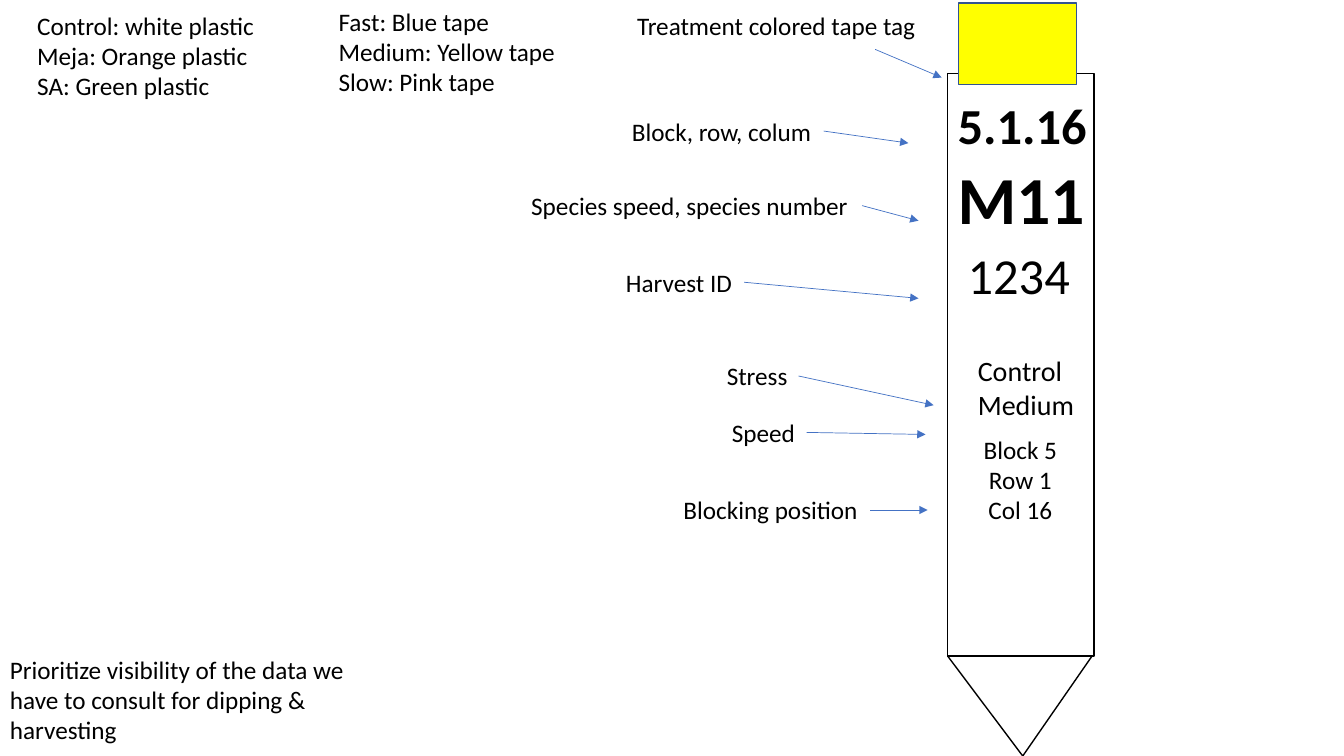
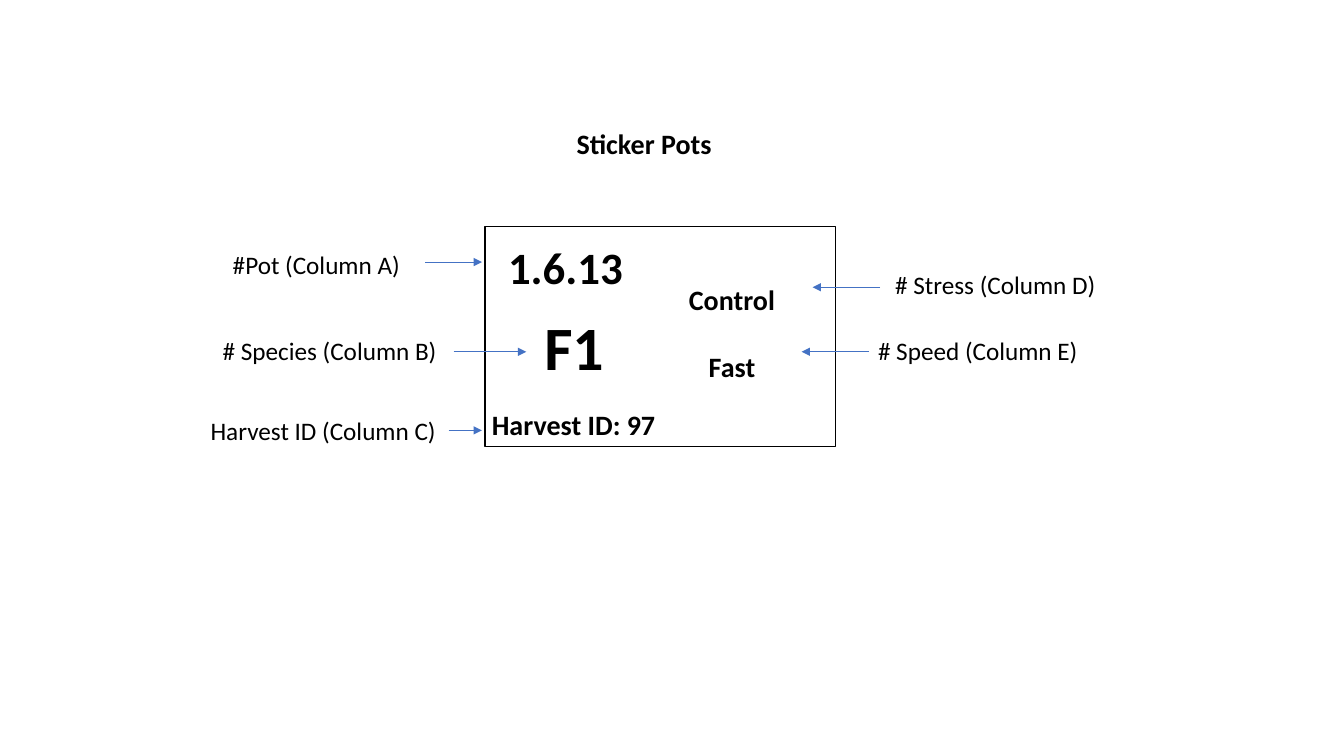
from dataclasses import dataclass

from lxml import etree
from pptx import Presentation
from pptx import util as u
from pptx.dml.color import RGBColor
from pptx.enum import shapes, text
from pptx.oxml import ns


@dataclass(frozen=True)
class Theme:
    font: str = "Calibri"
    ink: str = "000000"
    paper: str = "FFFFFF"
    arrow: str = "4472C4"
    tape: str = "FFFF00"
    tape_edge: str = "325491"
    body: int = 18
    strong: int = 20
    pot: int = 32
    code: int = 36
    sticker_species: int = 44
    stake_species: int = 48
    outline: float = 1
    arrow_width: float = 0.5
    line_height: float = 1.22


class Deck:
    """Draws labelled plant tags in one style on the current slide."""

    def __init__(self, prs, theme):
        self.prs = prs
        self.theme = theme
        self.s = None

    def new_slide(self):
        self.s = self.prs.slides.add_slide(self.prs.slide_layouts[6])

    def shape(self, kind, x, y, w, h, fill=None, line=None):
        t = self.theme
        sp = self.s.shapes.add_shape(kind, *map(u.Inches, (x, y, w, h)))
        sp.shadow.inherit = False
        sp.fill.solid()
        sp.fill.fore_color.rgb = RGBColor.from_string(fill or t.paper)
        sp.line.color.rgb = RGBColor.from_string(line or t.ink)
        sp.line.width = u.Pt(t.outline)
        return sp

    def text(self, lines, x, y, w, size=None, bold=False, center=False, gap=0, wrapped=0):
        t = self.theme
        size = size or t.body
        h = (wrapped or len(lines)) * size * t.line_height / 72 + 0.1
        h += gap * (len(lines) - 1) / 72
        sp = self.s.shapes.add_textbox(*map(u.Inches, (x, y, w, h)))
        tf = sp.text_frame
        tf.word_wrap = bool(wrapped)
        tf.auto_size = text.MSO_AUTO_SIZE.SHAPE_TO_FIT_TEXT
        for i, line in enumerate(lines):
            p = tf.add_paragraph() if i else tf.paragraphs[0]
            p.text = line
            p.alignment = text.PP_ALIGN.CENTER if center else text.PP_ALIGN.LEFT
            if i and gap:
                p.space_before = u.Pt(gap)
            p.font.name = t.font
            p.font.size = u.Pt(size)
            p.font.bold = bold
            p.font.color.rgb = RGBColor.from_string(t.ink)

    def arrow(self, start, end):
        t = self.theme
        c = self.s.shapes.add_connector(
            shapes.MSO_CONNECTOR.STRAIGHT, *map(u.Inches, (*start, *end)))
        c.line.color.rgb = RGBColor.from_string(t.arrow)
        c.line.width = u.Pt(t.arrow_width)
        etree.SubElement(c.line._get_or_add_ln(), ns.qn("a:tailEnd"), type="triangle")
        etree.SubElement(c._element.spPr, ns.qn("a:effectLst"))

    def callouts(self, rows):
        for label, x, y, w, start, end in rows:
            self.text([label], x, y, w)
            self.arrow(start, end)


def stake_slide(d):
    t, kind = d.theme, shapes.MSO_SHAPE
    d.new_slide()
    d.text(["Prioritize visibility of the data we have to consult for dipping & harvesting"],
           0, 6.44, 3.8, wrapped=3)
    d.text(["Control: white plastic", "Meja: Orange plastic", "SA: Green plastic"],
           0.27, 0.05, 2.38)
    d.text(["Fast: Blue tape", "Medium: Yellow tape", "Slow: Pink tape"], 3.26, 0.01, 2.37)

    d.shape(kind.RECTANGLE, 9.4, 0.73, 1.45, 5.78)
    tip = d.shape(kind.ISOSCELES_TRIANGLE, 9.4, 6.51, 1.43, 0.99)
    tip.adjustments[0] = 0.48
    tip.rotation = 180
    d.shape(kind.RECTANGLE, 9.51, 0.03, 1.17, 0.81, t.tape, t.tape_edge)
    d.text(["5.1.16"], 9.4, 0.88, 1.5, t.code, bold=True)
    d.text(["M11"], 9.4, 1.51, 1.47, t.stake_species, bold=True)
    d.text(["1234"], 9.5, 2.37, 1.23, t.code)
    d.text(["Control", "Medium"], 9.6, 3.46, 1.17, t.strong)
    d.text(["Block 5", "Row 1", "Col 16"], 9.65, 4.26, 0.94, center=True)

    d.callouts([
        ("Treatment colored tape tag", 6.22, 0.05, 2.99, (8.68, 0.49), (9.34, 0.77)),
        ("Block, row, colum", 6.17, 1.1, 2, (8.17, 1.3), (9.01, 1.42)),
        ("Species speed, species number", 5.17, 1.84, 3.38, (8.55, 2.04), (9.11, 2.19)),
        ("Harvest ID", 6.11, 2.6, 1.26, (7.38, 2.8), (9.11, 2.96)),
        ("Stress", 7.11, 3.53, 0.81, (7.92, 3.73), (9.26, 4.02)),
        ("Speed", 7.16, 4.09, 0.84, (8, 4.29), (9.18, 4.31)),
        ("Blocking position", 6.68, 4.85, 1.95, (8.63, 5.06), (9.2, 5.06)),
    ])


def sticker_slide(d):
    t = d.theme
    d.new_slide()
    d.shape(shapes.MSO_SHAPE.RECTANGLE, 4.81, 2.25, 3.48, 2.18)
    d.text(["Sticker Pots"], 5.62, 1.21, 1.55, t.strong, bold=True)
    d.text(["1.6.13"], 4.94, 2.33, 1.35, t.pot, bold=True)
    d.text(["F1"], 5.3, 3.02, 0.8, t.sticker_species, bold=True)
    d.text(["Harvest ID: 97"], 4.78, 3.99, 1.84, t.strong, bold=True)
    d.text(["Control", "Fast"], 6.73, 2.75, 1.06, t.strong, bold=True, center=True, gap=24)

    d.callouts([
        ("#Pot (Column A)", 2.21, 2.42, 1.88, (4.22, 2.6), (4.78, 2.6)),
        ("# Species (Column B)", 2.11, 3.28, 2.35, (4.5, 3.49), (5.22, 3.49)),
        ("Harvest ID (Column C)", 1.99, 4.07, 2.46, (4.45, 4.27), (4.78, 4.27)),
        ("# Stress (Column D)", 8.78, 2.62, 2.21, (8.73, 2.85), (8.06, 2.85)),
        ("# Speed (Column E)", 8.61, 3.28, 2.21, (8.62, 3.49), (7.95, 3.49)),
    ])


def main():
    prs = Presentation()
    prs.slide_width, prs.slide_height = u.Inches(13.33), u.Inches(7.5)
    d = Deck(prs, Theme())
    stake_slide(d)
    sticker_slide(d)
    prs.save("out.pptx")


if __name__ == "__main__":
    main()
